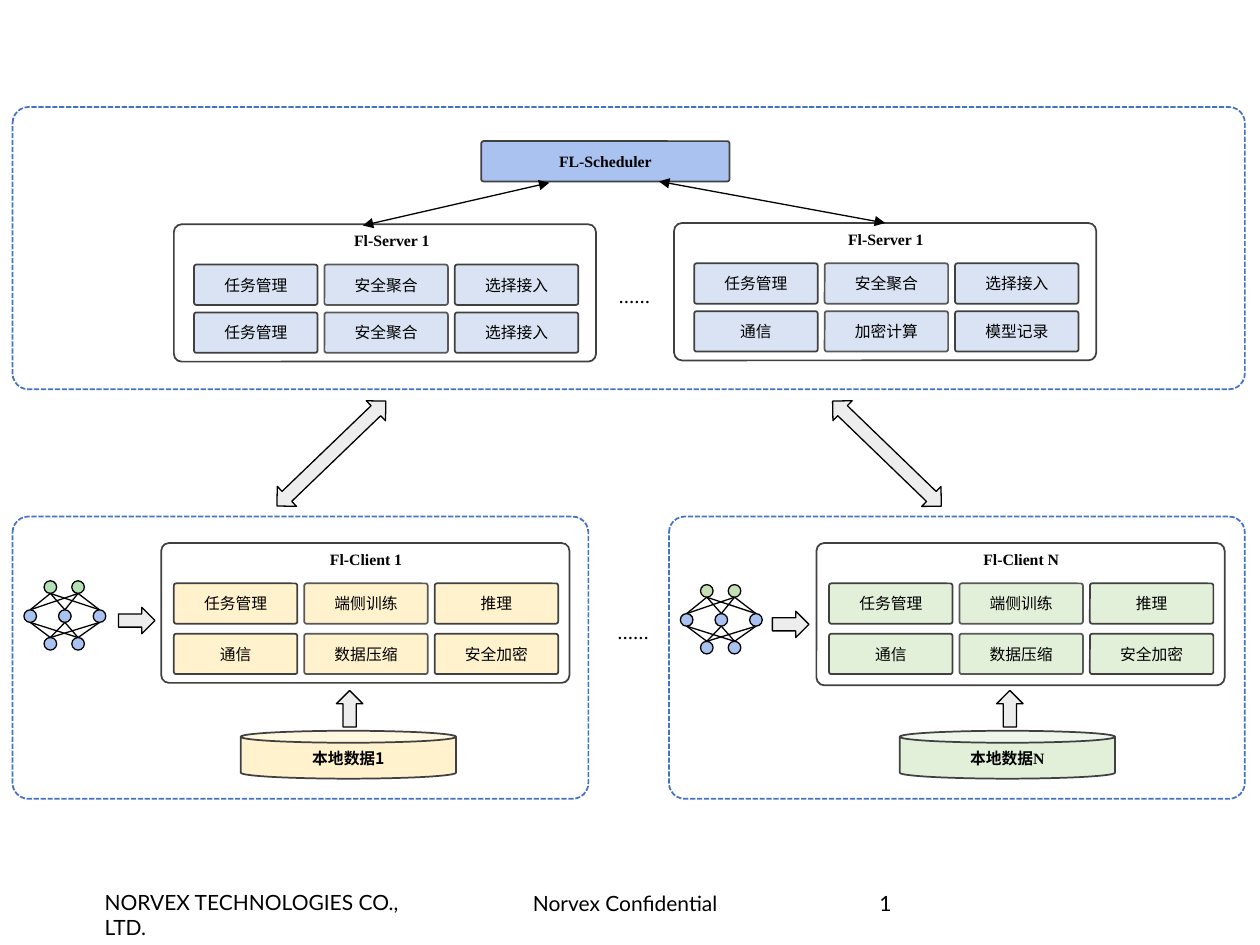
from itertools import product

from lxml.etree import SubElement
from pptx import Presentation
from pptx.dml.color import RGBColor as RGB
from pptx.enum.dml import MSO_LINE as Dash
from pptx.enum.shapes import MSO_CONNECTOR as Conn, MSO_SHAPE as Geo
from pptx.enum.text import MSO_ANCHOR as Anchor, PP_ALIGN as Align
from pptx.oxml.ns import qn
from pptx.util import Inches, Pt

HEX = {
    "black": "000000", "dark": "404040", "mid": "595959", "frame": "4472C4",
    "arrow": "EDEDED", "blue": "A9C2F0", "pale": "DAE3F3", "cream": "FFF2CC",
    "mint": "E2F0D9", "leaf": "B3E0B4", "moss": "C5E0B4",
}
HAN, SERIF, SANS = "Noto Sans CJK SC", "Times New Roman", "Lato"


def tint(name):
    return RGB.from_string(HEX[name])


class Board:
    """Holds the style and the slide being drawn."""

    def __init__(self, slide):
        self.shapes = slide.shapes
        self.size = 9
        self.curve = 0.056

    def text(self, shape, runs, bold=False, size=None, align=Align.CENTER,
             anchor=Anchor.TOP, pad=(0.1, 0.05)):
        """Fill a shape with one paragraph of (words, font) runs."""
        frame = shape.text_frame
        frame.word_wrap = True
        frame.vertical_anchor = anchor
        frame.margin_left = frame.margin_right = Inches(pad[0])
        frame.margin_top = frame.margin_bottom = Inches(pad[1])
        para = frame.paragraphs[0]
        para.alignment = align
        for words, face in runs:
            run = para.add_run()
            run.text = words
            font = run.font
            font.size, font.bold, font.name = Pt(size or self.size), bold, face
            font.color.rgb = tint("black")
            SubElement(run._r.get_or_add_rPr(), qn("a:ea"), typeface=face)

    def shape(self, geo, x, y, w, h, fill=None, line="black", width=0.75, turn=0):
        item = self.shapes.add_shape(geo, Inches(x), Inches(y), Inches(w), Inches(h))
        item.shadow.inherit = False
        item.rotation = turn
        if fill:
            item.fill.solid()
            item.fill.fore_color.rgb = tint(fill)
        else:
            item.fill.background()
        item.line.color.rgb = tint(line)
        item.line.width = Pt(width)
        return item

    def box(self, x, y, w, h, fill=None, line="dark"):
        item = self.shape(Geo.ROUNDED_RECTANGLE, x, y, w, h, fill, line, 1)
        item.adjustments[0] = self.curve
        return item

    def frame(self, x, y, w, h):
        self.box(x, y, w, h, line="frame").line.dash_style = Dash.SQUARE_DOT

    def label(self, x, y, w, h, words, face, **style):
        item = self.shapes.add_textbox(Inches(x), Inches(y), Inches(w), Inches(h))
        self.text(item, [(words, face)], **style)

    def tile(self, x, y, w, h, fill, words, face=HAN, line="dark", bold=False):
        item = self.box(x, y, w, h, fill, line)
        self.text(item, [(words, face)], bold, anchor=Anchor.MIDDLE, pad=(0.09, 0.04))

    def panel(self, x, y, w, h, title, fill, names, inset, step, shift=0):
        """Draw a titled box with a grid of three tiles a row."""
        item = self.box(x, y, w, h)
        self.label(x + w / 2 - 0.56 + shift, y, 1.13, 0.25, title, SERIF, bold=True)
        for i, name in enumerate(names):
            row, col = divmod(i, 3)
            self.tile(x + inset + 1.035 * col, y + 0.32 + step * row, 0.98, 0.32,
                      fill, name, line="mid" if col == 1 else "dark")
        return item

    def link(self, x1, y1, x2, y2, heads=False):
        item = self.shapes.add_connector(
            Conn.STRAIGHT, Inches(x1), Inches(y1), Inches(x2), Inches(y2))
        item.line.color.rgb = tint("black")
        item.line.width = Pt(0.75)
        if heads:
            for end in ("a:headEnd", "a:tailEnd"):
                SubElement(item.line._get_or_add_ln(), qn(end), type="triangle")
        SubElement(item._element.spPr, qn("a:effectLst"))
        return item

    def net(self, x, y, top):
        """Draw a neural net of 2, 3 and 2 fully linked nodes."""
        dot = 0.1
        pair, trio = (0.16, 0.38), (0, 0.275, 0.55)
        layers = [(0, pair, top), (0.23, trio, "blue"), (0.45, pair, "blue")]
        for (up, heads, _), (down, feet, _) in zip(layers, layers[1:]):
            for a, b in product(heads, feet):
                self.link(x + a + dot / 2, y + up + dot, x + b + dot / 2, y + down)
        for drop, row, fill in layers:
            for left in row:
                self.shape(Geo.OVAL, x + left, y + drop, dot, dot, fill)


def main():
    deck = Presentation()
    deck.slide_width, deck.slide_height = Inches(10), Inches(7.5)
    board = Board(deck.slides.add_slide(deck.slide_layouts[6]))

    # Server side
    board.frame(0.1, 0.85, 9.78, 2.24)
    board.tile(3.82, 1.12, 1.97, 0.32, "blue", "FL-Scheduler", SERIF, bold=True)
    basic = ["任务管理", "安全聚合", "选择接入"]
    board.panel(1.38, 1.78, 3.35, 1.09, "Fl-Server 1", "pale", basic * 2,
                0.16, 0.38, 0.05)
    right = board.panel(5.35, 1.77, 3.35, 1.09, "Fl-Server 1", "pale",
                        basic + ["通信", "加密计算", "模型记录"], 0.16, 0.38)
    board.link(4.36, 1.45, 2.88, 1.79, heads=True)
    board.link(5.23, 1.44, 7.03, 1.77, heads=True).end_connect(right, 0)

    # Server to client
    for x, turn in ((2.52, 46.1), (6.93, 314)):
        board.shape(Geo.UP_DOWN_ARROW, x, 3, 0.22, 1.2, "arrow", turn=turn)
    for x, y in ((4.76, 2.27), (4.75, 4.94)):
        board.label(x, y, 0.55, 0.25, "……", HAN, bold=True)

    # Client side
    tasks = ["任务管理", "端侧训练", "推理", "通信", "数据压缩", "安全加密"]
    clients = [
        (0.1, 1.28, 1.11, "1", HAN, "cream", 1.91, 0.94, 2.63, 0, "leaf"),
        (5.31, 6.48, 1.13, "N", SERIF, "mint", 7.14, 6.13, 7.87, 0.03, "moss"),
    ]
    for edge, x, h, mark, face, fill, store, feed, rise, drop, top in clients:
        board.frame(edge, 4.1, 4.57, 2.24)
        board.panel(x, 4.31, 3.24, h, f"Fl-Client {mark}", fill, tasks, 0.1, 0.4)
        can = board.shape(Geo.CAN, store, 5.8, 1.71, 0.38, fill, "dark", 1)
        board.text(can, [("本地数据", HAN), (mark, face)], bold=True)
        board.shape(Geo.RIGHT_ARROW, feed, 4.82 + drop, 0.29, 0.21, "arrow")
        board.shape(Geo.RIGHT_ARROW, rise, 5.52, 0.29, 0.21, "arrow", turn=270)
        board.net(edge + 0.09, 4.61 + drop, top)

    # Footer
    for x, y, w, words in ((0.83, 7.06, 2.6, "NORVEX TECHNOLOGIES CO., LTD."),
                           (4.23, 7.07, 1.67, "Norvex Confidential"),
                           (6.98, 7.07, 1.93, "1")):
        board.label(x, y, w, 0.2, words, SANS, size=12, align=Align.LEFT, pad=(0, 0))

    deck.save("out.pptx")


if __name__ == "__main__":
    main()
